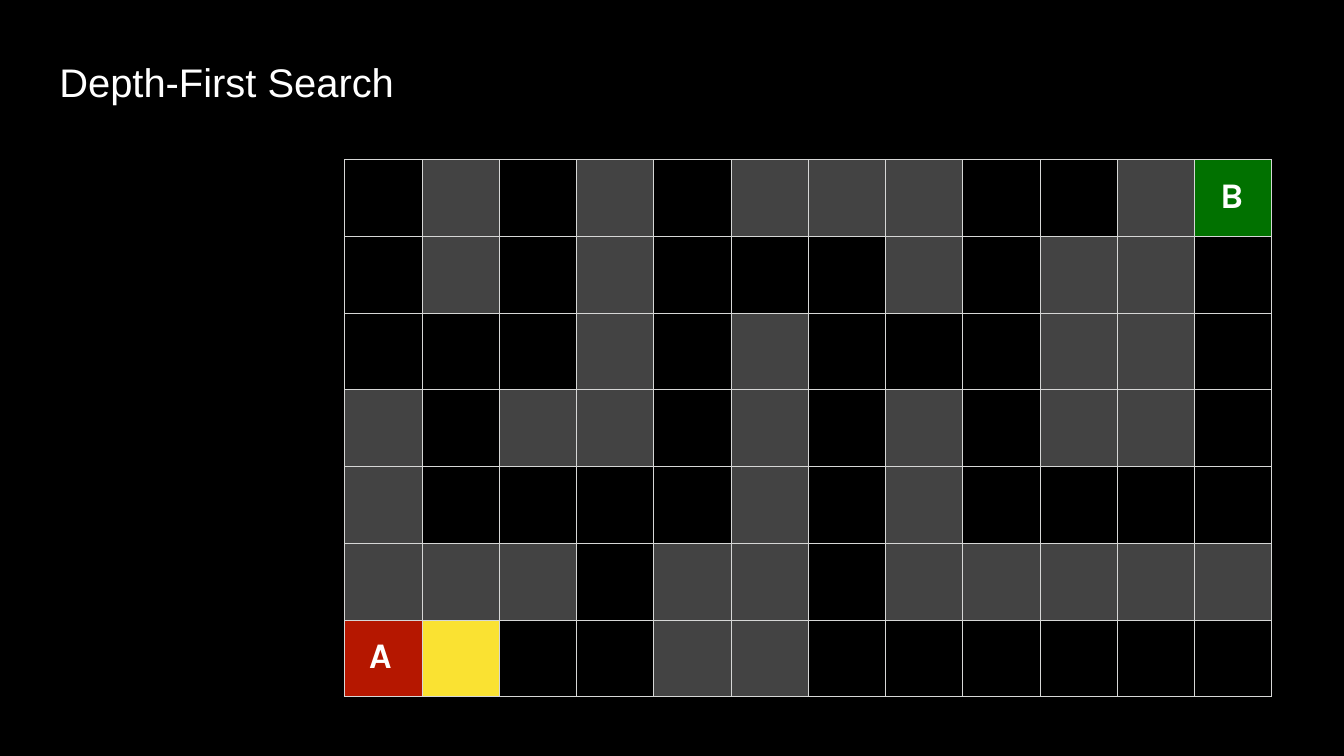
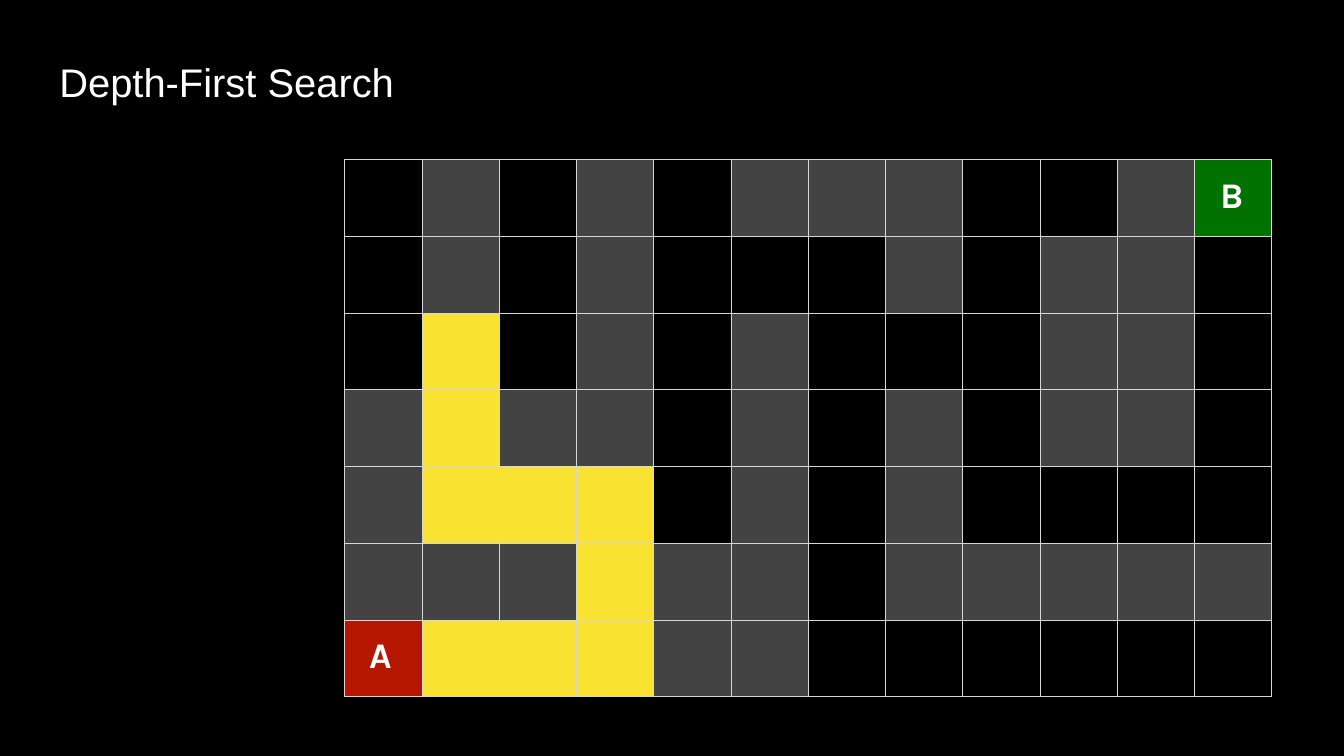
from lxml.etree import SubElement
from pptx import Presentation
from pptx.dml.color import RGBColor
from pptx.enum.text import MSO_ANCHOR, PP_ALIGN
from pptx.oxml.ns import qn
from pptx.util import Inches, Pt

TITLE = "Depth-First Search"
MAZE = [
    ".#.#.###..#B",
    ".#.#...#.##.",
    "...#.#...##.",
    "#.##.#.#.##.",
    "#....#.#....",
    "###.##.#####",
    "A...##......",
]
PATH = [(6, 1), (6, 2), (6, 3), (5, 3), (4, 3), (4, 2), (4, 1), (3, 1), (2, 1)]
STEPS_SHOWN = [1, len(PATH)]

COLORS = {
    "background": "000000",
    "text": "FFFFFF",
    "grid": "D6D7D6",
    "wall": "434343",
    "start": "B51700",
    "goal": "017100",
    "explored": "FAE232",
}
SQUARES = {"#": "wall", "A": "start", "B": "goal"}
LETTER_MARGINS = {"A": (0.4, 0.25), "B": (0.42, 0.26)}
MAZE_LEFT, MAZE_TOP, MAZE_WIDTH, MAZE_HEIGHT = 5.64, 2.61, 15.17, 8.79


def rgb(name):
    return RGBColor.from_string(COLORS[name])


def style_font(font, face, size, bold=False):
    font.name = face
    font.size = Pt(size)
    font.bold = bold
    font.color.rgb = rgb("text")


def add_borders(cell):
    properties = cell._tc.get_or_add_tcPr()
    for side in ("lnL", "lnR", "lnT", "lnB"):
        border = SubElement(properties, qn(f"a:{side}"), w=str(Pt(1)))
        fill = SubElement(border, qn("a:solidFill"))
        SubElement(fill, qn("a:srgbClr"), val=COLORS["grid"])


def fill_square(cell, mark, explored):
    add_borders(cell)
    kind = "explored" if explored else SQUARES.get(mark)
    if kind:
        cell.fill.solid()
        cell.fill.fore_color.rgb = rgb(kind)
    else:
        cell.fill.background()
    if mark in LETTER_MARGINS:
        left, top = LETTER_MARGINS[mark]
        cell.margin_left, cell.margin_top = Inches(left), Inches(top)
        cell.margin_right = cell.margin_bottom = 0
        cell.text = mark
        style_font(cell.text_frame.paragraphs[0].font, "Karla", 42.5, True)


def add_title(slide):
    title = slide.shapes.title
    title.left, title.top = Inches(0.68), Inches(0.43)
    title.width, title.height = Inches(12.93), Inches(1.78)
    frame = title.text_frame
    frame.text = TITLE
    frame.word_wrap = True
    frame.vertical_anchor = MSO_ANCHOR.TOP
    frame.margin_left, frame.margin_top = Inches(0.29), Inches(0.51)
    frame.margin_right = frame.margin_bottom = 0
    heading = frame.paragraphs[0]
    heading.alignment = PP_ALIGN.LEFT
    style_font(heading.font, "Arial", 47)


def add_maze(slide, explored):
    maze = slide.shapes.add_table(
        len(MAZE), len(MAZE[0]), Inches(MAZE_LEFT), Inches(MAZE_TOP),
        Inches(MAZE_WIDTH), Inches(MAZE_HEIGHT)).table
    maze.first_row = maze.horz_banding = False
    for r, row in enumerate(MAZE):
        for c, mark in enumerate(row):
            fill_square(maze.cell(r, c), mark, (r, c) in explored)


def main():
    deck = Presentation()
    deck.slide_width, deck.slide_height = Inches(21.99), Inches(12.37)
    backdrop = deck.slide_master.background.fill
    backdrop.solid()
    backdrop.fore_color.rgb = rgb("background")
    title_only = deck.slide_layouts.get_by_name("Title Only")
    for steps in STEPS_SHOWN:
        slide = deck.slides.add_slide(title_only)
        add_title(slide)
        add_maze(slide, PATH[:steps])
    deck.save("out.pptx")


if __name__ == "__main__":
    main()
